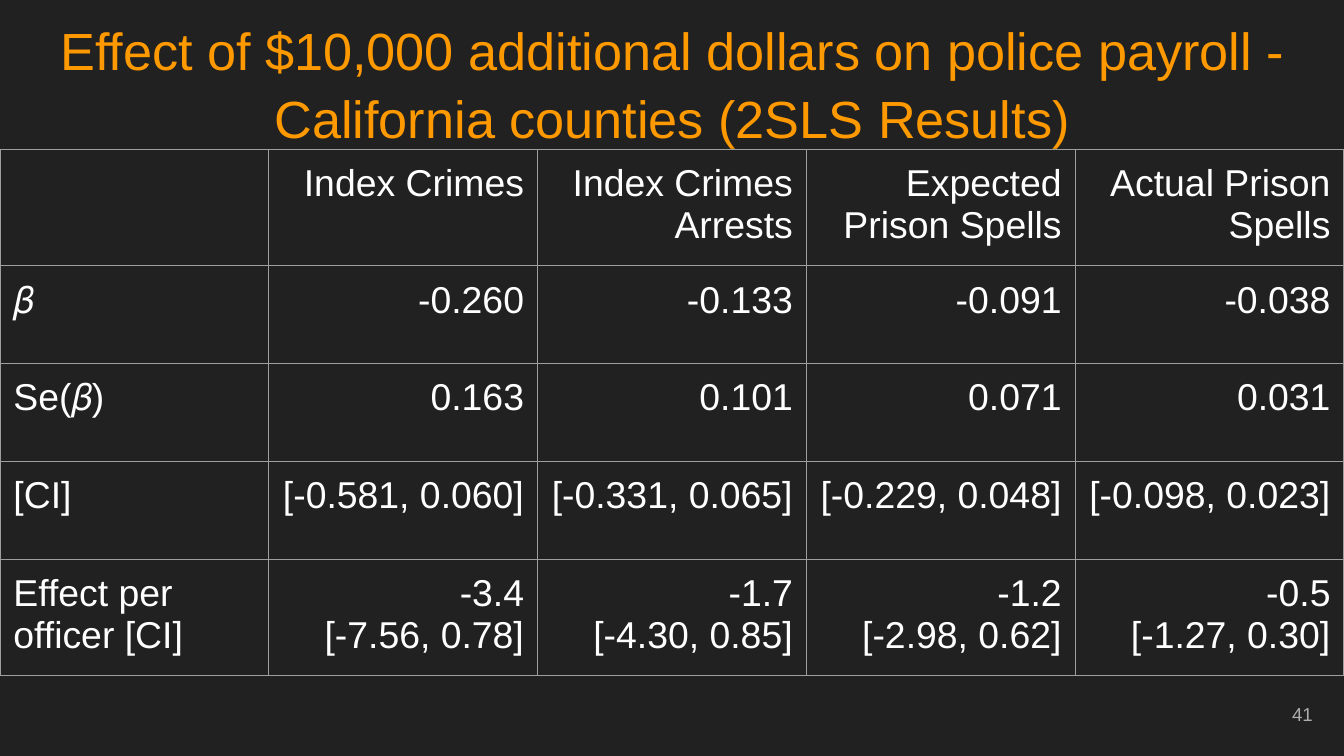
from dataclasses import dataclass

from lxml.etree import SubElement
from pptx import Presentation
from pptx.dml.color import RGBColor
from pptx.enum.text import MSO_ANCHOR, PP_ALIGN
from pptx.oxml.ns import qn
from pptx.util import Pt


@dataclass(frozen=True)
class Theme:
    font: str = "Arial"
    background: str = "212121"
    title: str = "FF9900"
    body: str = "FFFFFF"
    border: str = "9E9E9E"
    muted: str = "ADADAD"
    title_size: float = 28
    body_size: float = 20
    number_size: float = 10
    border_width: float = 0.75
    inset: float = 7.2


class SlideBuilder:
    def __init__(self, slide, theme):
        self.slide = slide
        self.theme = theme
        fill = slide.background.fill
        fill.solid()
        fill.fore_color.rgb = RGBColor.from_string(theme.background)

    def fill_frame(self, frame, text, size, color, align, spacing=None):
        """Set each line of text as a paragraph with one run."""
        for index, line in enumerate(text.split("\n")):
            para = frame.add_paragraph() if index else frame.paragraphs[0]
            para.alignment = align
            if spacing:
                para.line_spacing = spacing
            span = para.add_run()
            span.text = line
            span.font.name = self.theme.font
            span.font.size = Pt(size)
            span.font.color.rgb = RGBColor.from_string(color)

    def set_margins(self, target):
        inset = Pt(self.theme.inset)
        target.margin_left = target.margin_right = inset
        target.margin_top = target.margin_bottom = inset

    def add_text(self, left, top, width, height, text, size, color, align,
                 anchor=MSO_ANCHOR.TOP, spacing=None):
        box = self.slide.shapes.add_textbox(Pt(left), Pt(top), Pt(width), Pt(height))
        frame = box.text_frame
        frame.word_wrap = True
        frame.vertical_anchor = anchor
        self.set_margins(frame)
        self.fill_frame(frame, text, size, color, align, spacing)

    def add_borders(self, cell):
        properties = cell._tc.get_or_add_tcPr()
        for tag in ("a:lnL", "a:lnR", "a:lnT", "a:lnB"):
            line = SubElement(properties, qn(tag), w=str(Pt(self.theme.border_width)))
            fill = SubElement(line, qn("a:solidFill"))
            SubElement(fill, qn("a:srgbClr"), val=self.theme.border)

    def add_table(self, left, top, column_width, row_height, rows):
        count = len(rows[0])
        table = self.slide.shapes.add_table(
            len(rows), count, Pt(left), Pt(top),
            Pt(column_width * count), Pt(row_height * len(rows))).table
        table.first_row = False
        table.horz_banding = False
        for column in table.columns:
            column.width = Pt(column_width)
        for row, texts in zip(table.rows, rows):
            row.height = Pt(row_height)
            for index, (cell, text) in enumerate(zip(row.cells, texts)):
                self.set_margins(cell)
                self.add_borders(cell)
                cell.fill.background()
                if text:
                    align = PP_ALIGN.RIGHT if index else PP_ALIGN.LEFT
                    self.fill_frame(cell.text_frame, text, self.theme.body_size,
                                    self.theme.body, align)


RESULTS = [
    ["", "Index Crimes", "Index Crimes Arrests", "Expected Prison Spells",
     "Actual Prison Spells"],
    ["𝛽", "-0.260", "-0.133", "-0.091", "-0.038"],
    ["Se(𝛽)", "0.163", "0.101", "0.071", "0.031"],
    ["[CI]", "[-0.581, 0.060]", "[-0.331, 0.065]", "[-0.229, 0.048]",
     "[-0.098, 0.023]"],
    ["Effect per officer [CI]", "-3.4\n[-7.56, 0.78]", "-1.7\n[-4.30, 0.85]",
     "-1.2\n[-2.98, 0.62]", "-0.5\n[-1.27, 0.30]"],
]


def main():
    deck = Presentation()
    deck.slide_width, deck.slide_height = Pt(720), Pt(405)
    theme = Theme()
    page = SlideBuilder(deck.slides.add_slide(deck.slide_layouts[6]), theme)

    # Title
    page.add_text(0, 0, 720, 45,
                  "Effect of $10,000 additional dollars on police payroll - "
                  "California counties (2SLS Results)",
                  theme.title_size, theme.title, PP_ALIGN.CENTER, spacing=1.08)

    # Regression results
    page.add_table(0, 80, 144, 52.4, RESULTS)

    # Page number
    page.add_text(667.2, 367.2, 43.2, 31, "41", theme.number_size, theme.muted,
                  PP_ALIGN.RIGHT, MSO_ANCHOR.MIDDLE)

    deck.save("out.pptx")


if __name__ == "__main__":
    main()
